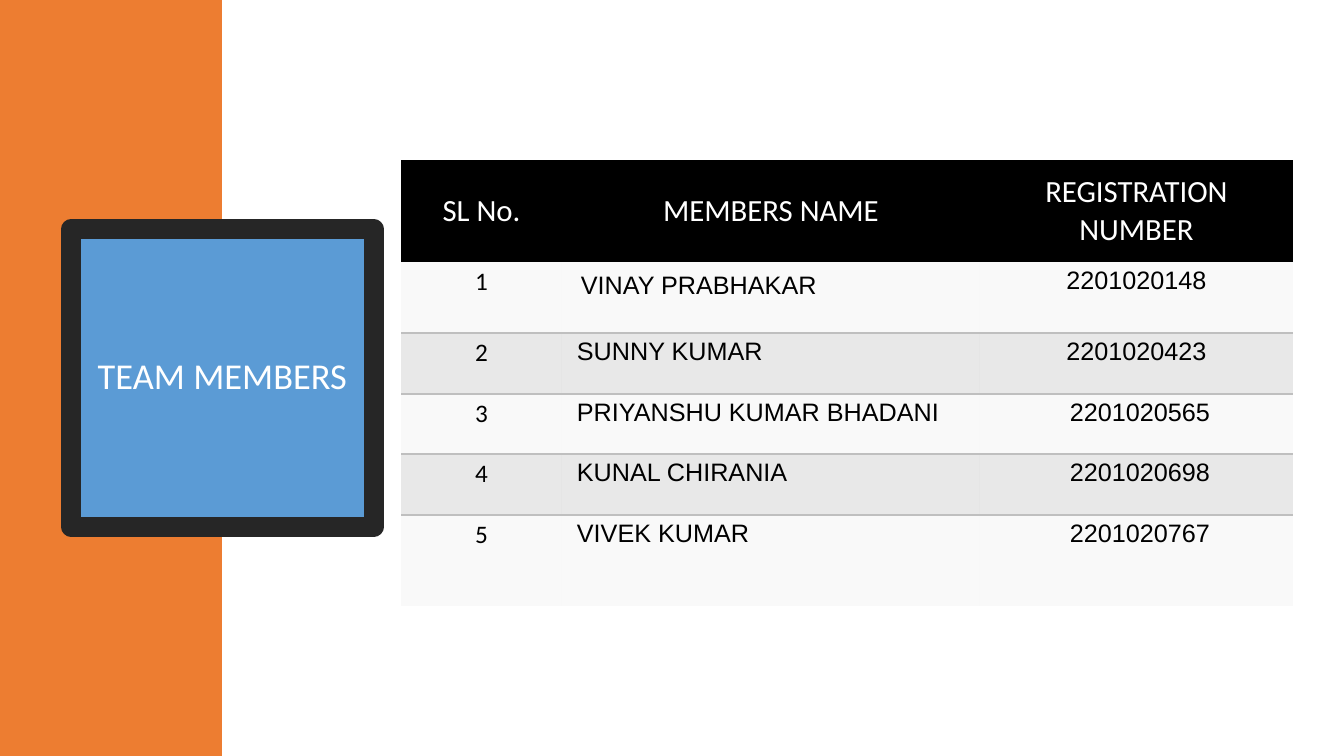
import pptx
import pptx.util
import pptx.dml.color
import pptx.enum.shapes
import pptx.enum.text
import pptx.oxml.ns
from lxml import etree

RGBColor = pptx.dml.color.RGBColor
PP_ALIGN = pptx.enum.text.PP_ALIGN
MIDDLE = pptx.enum.text.MSO_ANCHOR.MIDDLE
TOP = pptx.enum.text.MSO_ANCHOR.TOP
qn = pptx.oxml.ns.qn

EMU_PER_PX = 914400 / 100.8
ORANGE = RGBColor(0xED, 0x7D, 0x31)
BLUE = RGBColor(0x5B, 0x9B, 0xD5)
CHARCOAL = RGBColor(0x26, 0x26, 0x26)
WHITE = RGBColor(0xFF, 0xFF, 0xFF)
BLACK = RGBColor(0, 0, 0)
LIGHT = RGBColor(0xF2, 0xF2, 0xF2)
GREY = RGBColor(0xBF, 0xBF, 0xBF)
NO_STYLE = "{2D5ABB26-0587-4C30-8999-92F81FD0307C}"

HEADERS = ["SL No.", "MEMBERS NAME", "REGISTRATION NUMBER"]
MEMBERS = [
    ("VINAY PRABHAKAR", "2201020148"),
    ("SUNNY KUMAR", "2201020423"),
    ("PRIYANSHU KUMAR BHADANI", "2201020565"),
    ("KUNAL CHIRANIA", "2201020698"),
    ("VIVEK KUMAR", "2201020767"),
]
COL_WIDTHS = [161, 418, 313]
ROW_HEIGHTS = [102, 71, 61, 60, 61, 91]


def px(n):
    return pptx.util.Emu(round(n * EMU_PER_PX))


def write(tf, text, size, font, color, align=PP_ALIGN.CENTER):
    p = tf.paragraphs[0]
    p.alignment = align
    r = p.add_run()
    r.text = text
    r.font.size = pptx.util.Pt(size)
    r.font.name = font
    r.font.color.rgb = color
    return p


def add_rect(s, left, top, width, height, fill):
    sp = s.shapes.add_shape(pptx.enum.shapes.MSO_SHAPE.RECTANGLE,
                            px(left), px(top), px(width), px(height))
    sp.shadow.inherit = False
    sp.fill.solid()
    sp.fill.fore_color.rgb = fill
    sp.line.fill.background()
    return sp


def add_title(s, text):
    sp = add_rect(s, 71, 229, 303, 298, BLUE)
    sp.line.color.rgb = CHARCOAL
    sp.line.width = pptx.util.Pt(13.75)
    etree.SubElement(sp.line._get_or_add_ln(), qn("a:round"))
    tf = sp.text_frame
    tf.word_wrap = True
    tf.vertical_anchor = MIDDLE
    write(tf, text, 26, "Calibri", WHITE).line_spacing = 0.9


def fill_cell(cell, color, alpha=100):
    cell.fill.solid()
    cell.fill.fore_color.rgb = color
    if alpha < 100:
        clr = cell._tc.tcPr.find(qn("a:solidFill")).find(qn("a:srgbClr"))
        etree.SubElement(clr, qn("a:alpha"), val=str(alpha * 1000))


def add_border(cell, side):
    ln = etree.Element(qn(f"a:ln{side}"), w=str(pptx.util.Pt(0.96)))
    fill = etree.SubElement(ln, qn("a:solidFill"))
    etree.SubElement(fill, qn("a:srgbClr"), val=str(GREY))
    cell._tc.get_or_add_tcPr().insert(0, ln)


def set_margins(cell, left=15, top=5):
    cell.margin_left, cell.margin_right = px(left), px(15)
    cell.margin_top, cell.margin_bottom = px(top), px(5)


def add_members_table(s):
    frame = s.shapes.add_table(len(ROW_HEIGHTS), len(COL_WIDTHS), px(401), px(160),
                               px(sum(COL_WIDTHS)), px(sum(ROW_HEIGHTS)))
    table = frame.table
    for style in frame._element.iter(qn("a:tableStyleId")):
        style.text = NO_STYLE
    for col, width in zip(table.columns, COL_WIDTHS):
        col.width = px(width)
    for row, height in zip(table.rows, ROW_HEIGHTS):
        row.height = px(height)

    for c, header in enumerate(HEADERS):
        cell = table.cell(0, c)
        set_margins(cell)
        cell.vertical_anchor = MIDDLE
        fill_cell(cell, BLACK)
        write(cell.text_frame, header, 22, "Calibri", WHITE)

    for n, (name, number) in enumerate(MEMBERS, 1):
        odd = n % 2 == 1
        for c, text in enumerate([str(n), name, number]):
            cell = table.cell(n, c)
            set_margins(cell)
            cell.vertical_anchor = TOP
            fill_cell(cell, LIGHT if odd else GREY, 45 if odd else 35)
            if n < len(MEMBERS):
                add_border(cell, "B" if odd else "T")
            write(cell.text_frame, text, 18, "Calibri" if c == 0 else "Arial", BLACK,
                  PP_ALIGN.LEFT if c == 1 else PP_ALIGN.CENTER)
        if n > 2:
            set_margins(table.cell(n, 2), left=22)
    set_margins(table.cell(1, 1), left=19, top=10)


def main():
    prs = pptx.Presentation()
    prs.slide_width, prs.slide_height = px(1344), px(756)
    s = prs.slides.add_slide(prs.slide_layouts[6])
    add_rect(s, 0, 0, 222, 756, ORANGE)
    add_title(s, "TEAM MEMBERS")
    add_members_table(s)
    prs.save("out.pptx")


if __name__ == "__main__":
    main()
